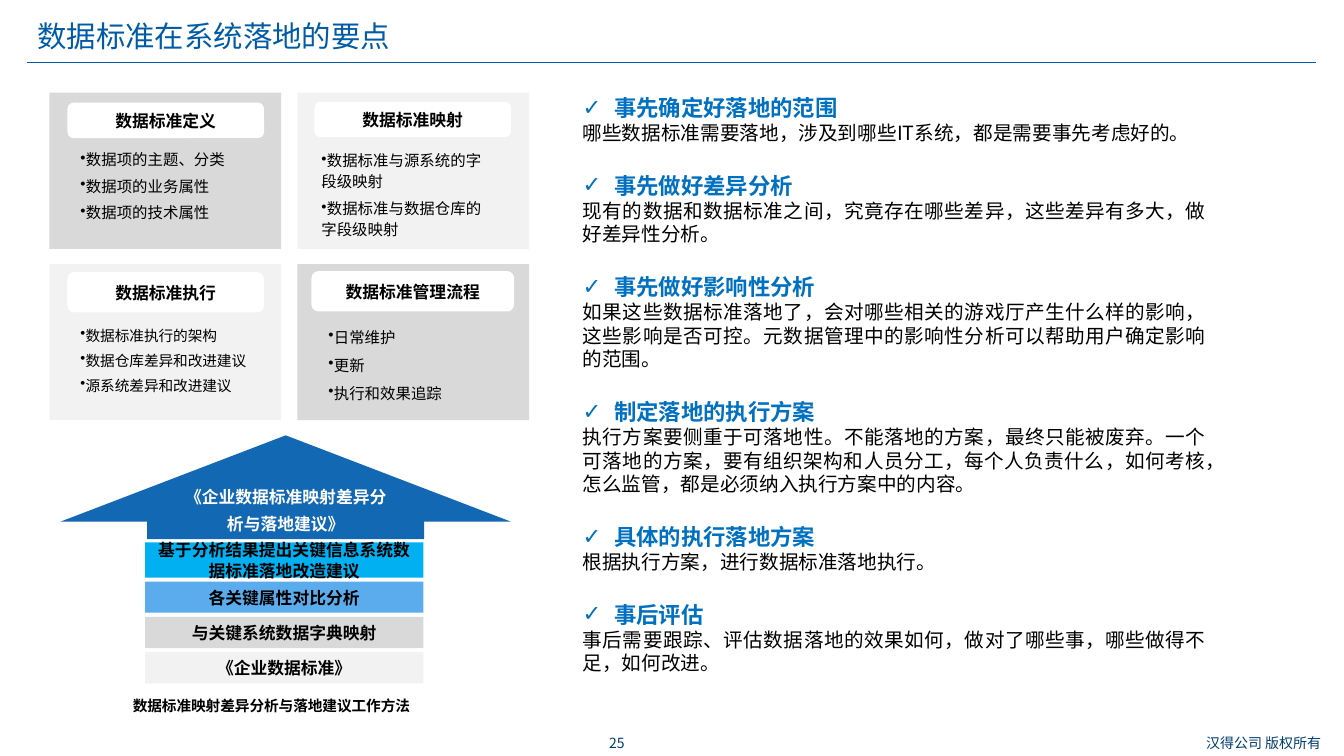
import pptx
import pptx.dml.color
import pptx.enum.shapes
import pptx.enum.text
import pptx.oxml.ns
import pptx.util
from lxml import etree

Pt = pptx.util.Pt
SHAPES = pptx.enum.shapes.MSO_SHAPE
ALIGN = pptx.enum.text.PP_ALIGN
ANCHOR = pptx.enum.text.MSO_ANCHOR
qn = pptx.oxml.ns.qn

FONT = "Noto Sans CJK SC"
BLACK, WHITE, NAVY, BLUE, ACCENT = "000000", "FFFFFF", "003D6E", "005BA6", "0070C0"
LIGHT, GREY = "F2F2F2", "D9D9D9"

CARD_W, CARD_H = 165.6, 111.6
CARD_COLUMNS, CARD_ROWS = (35.3, 212.4), (66.2, 188.6)
# column, row, fill, heading, heading box, items, items box, size, line pitch, gap
CARDS = [
    (0, 0, GREY, "数据标准定义", (48.2, 73.4, 140.4, 25.2),
     ["数据项的主题、分类", "数据项的业务属性", "数据项的技术属性"],
     (50.4, 103.7, 140.4, 60.5), 11, 13.3, 5.6),
    (1, 0, LIGHT, "数据标准映射", (224.6, 72.7, 140.4, 25.2),
     ["数据标准与源系统的字段级映射", "数据标准与数据仓库的字段级映射"],
     (222.5, 103, 137, 72), 11, 14.7, 5),
    (0, 1, LIGHT, "数据标准执行", (48.2, 194.4, 140.4, 28.8),
     ["数据标准执行的架构", "数据仓库差异和改进建议", "源系统差异和改进建议"],
     (50.4, 229.7, 140.4, 58.3), 10.5, 12.7, 5.2),
    (1, 1, GREY, "数据标准管理流程", (222.5, 193.7, 144.7, 28.8),
     ["日常维护", "更新", "执行和效果追踪"],
     (227.5, 229, 155.5, 64.8), 11, 14.7, 5.3),
]
# top, height, fill, label
STEPS = [
    (387.4, 25.2, "00B0F0", "基于分析结果提出关键信息系统数据标准落地改造建议"),
    (415.4, 22.3, "5AACEC", "各关键属性对比分析"),
    (440.6, 22.3, GREY, "与关键系统数据字典映射"),
    (465.8, 22.3, LIGHT, "《企业数据标准》"),
]
KEY_POINTS = [
    ("事先确定好落地的范围",
     "哪些数据标准需要落地，涉及到哪些IT系统，都是需要事先考虑好的。"),
    ("事先做好差异分析",
     "现有的数据和数据标准之间，究竟存在哪些差异，这些差异有多大，做好差异性分析。"),
    ("事先做好影响性分析",
     "如果这些数据标准落地了，会对哪些相关的游戏厅产生什么样的影响，这些影响是否可控。"
     "元数据管理中的影响性分析可以帮助用户确定影响的范围。"),
    ("制定落地的执行方案",
     "执行方案要侧重于可落地性。不能落地的方案，最终只能被废弃。一个可落地的方案，"
     "要有组织架构和人员分工，每个人负责什么，如何考核，怎么监管，都是必须纳入执行方案中的内容。"),
    ("具体的执行落地方案", "根据执行方案，进行数据标准落地执行。"),
    ("事后评估",
     "事后需要跟踪、评估数据落地的效果如何，做对了哪些事，哪些做得不足，如何改进。"),
]


def rgb(value):
    return pptx.dml.color.RGBColor.from_string(value)


def points(box):
    return [Pt(length) for length in box]


def place(placeholder, box):
    placeholder.left, placeholder.top, placeholder.width, placeholder.height = points(box)
    frame = placeholder.text_frame
    frame.auto_size = pptx.enum.text.MSO_AUTO_SIZE.NONE
    frame.vertical_anchor = ANCHOR.TOP
    return frame


def set_bullet(paragraph, symbol=None, indent=0):
    """Give the paragraph a bullet with a hanging indent, or none."""
    properties = paragraph._p.get_or_add_pPr()
    properties.set("marL", str(Pt(indent)))
    properties.set("indent", str(-Pt(indent)))
    if symbol:
        etree.SubElement(properties, qn("a:buChar")).set("char", symbol)
    else:
        etree.SubElement(properties, qn("a:buNone"))


def write(paragraph, text, size, color=BLACK, bold=False, align=ALIGN.LEFT,
          pitch=None, before=0):
    paragraph.text = text
    paragraph.alignment = align
    paragraph.space_before = Pt(before)
    paragraph.line_spacing = Pt(pitch or size * 1.22)
    for run in paragraph.runs:
        run.font.size = Pt(size)
        run.font.bold = bold
        run.font.name = FONT
        run.font.color.rgb = rgb(color)
        east_asian = etree.SubElement(run.font._element, qn("a:ea"))
        east_asian.set("typeface", FONT)


def next_paragraph(frame, first):
    return frame.paragraphs[0] if first else frame.add_paragraph()


def add_label(slide, box, text, size, wrap=True, anchor=ANCHOR.TOP, **style):
    frame = slide.shapes.add_textbox(*points(box)).text_frame
    frame.word_wrap = wrap
    frame.vertical_anchor = anchor
    write(frame.paragraphs[0], text, size, **style)


def add_block(slide, kind, box, fill, text=""):
    block = slide.shapes.add_shape(kind, *points(box))
    block.shadow.inherit = False
    block.fill.solid()
    block.fill.fore_color.rgb = rgb(fill)
    block.line.fill.background()
    if text:
        frame = block.text_frame
        frame.word_wrap = True
        frame.vertical_anchor = ANCHOR.MIDDLE
        write(frame.paragraphs[0], text, 12, bold=True, align=ALIGN.CENTER)
    return block


def add_items(slide, box, items, size, pitch, gap):
    frame = slide.shapes.add_textbox(*points(box)).text_frame
    frame.word_wrap = True
    for index, item in enumerate(items):
        paragraph = next_paragraph(frame, index == 0)
        set_bullet(paragraph, "•")
        write(paragraph, item, size, pitch=pitch, before=gap if index else 0)


def add_cards(slide):
    for column, row, fill, heading, heading_box, items, items_box, *text_style in CARDS:
        card_box = (CARD_COLUMNS[column], CARD_ROWS[row], CARD_W, CARD_H)
        add_block(slide, SHAPES.RECTANGLE, card_box, fill)
        add_block(slide, SHAPES.ROUNDED_RECTANGLE, heading_box, WHITE, heading)
        add_items(slide, items_box, items, *text_style)


def add_method(slide):
    """Stack the working steps under the arrow that carries their result."""
    for top, height, fill, label in STEPS:
        add_block(slide, SHAPES.RECTANGLE, (103.7, top, 198.7, height), fill, label)
    arrow = add_block(slide, SHAPES.UP_ARROW, (43.2, 311, 321.8, 74.2), "1368B3")
    arrow.adjustments[0], arrow.adjustments[1] = 0.615, 0.831
    add_label(slide, (121.7, 339.8, 164.9, 45.4), "《企业数据标准映射差异分析与落地建议》", 12,
              color=WHITE, bold=True, align=ALIGN.CENTER, pitch=18.9)
    add_label(slide, (87.8, 493.9, 216, 20.2), "数据标准映射差异分析与落地建议工作方法", 10.5,
              wrap=False, bold=True)


def fill_key_points(placeholder):
    frame = place(placeholder, (409, 63.4, 459.4, 424))
    for index, (heading, detail) in enumerate(KEY_POINTS):
        paragraph = next_paragraph(frame, index == 0)
        set_bullet(paragraph, "✓", 22.5)
        write(paragraph, heading, 16, ACCENT, True, ALIGN.JUSTIFY, 19.3,
              before=19.3 if index else 0)
        paragraph = frame.add_paragraph()
        set_bullet(paragraph)
        write(paragraph, detail, 14, align=ALIGN.JUSTIFY, pitch=16.9)


def add_frame(slide):
    """Draw the title rule and the footer texts."""
    rule = slide.shapes.add_connector(
        pptx.enum.shapes.MSO_CONNECTOR.STRAIGHT, *points((19.4, 44.9, 940.3, 44.9)))
    rule.line.color.rgb = rgb(BLUE)
    rule.line.width = Pt(0.75)
    etree.SubElement(rule._element.spPr, qn("a:effectLst"))
    for left, width, text in ((415.4, 50.4, "25"), (845.3, 114.5, "汉得公司 版权所有")):
        add_label(slide, (left, 520.6, width, 19.4), text, 10, anchor=ANCHOR.MIDDLE,
                  color=NAVY, align=ALIGN.CENTER)


def main():
    presentation = pptx.Presentation()
    presentation.slide_width, presentation.slide_height = Pt(960), Pt(540)
    slide = presentation.slides.add_slide(presentation.slide_layouts[1])
    title = place(slide.shapes.title, (19.4, 10.8, 833, 30.2))
    write(title.paragraphs[0], "数据标准在系统落地的要点", 21, BLUE, pitch=23.5)
    add_frame(slide)
    add_cards(slide)
    fill_key_points(slide.placeholders[1])
    add_method(slide)
    presentation.save("out.pptx")


if __name__ == "__main__":
    main()
